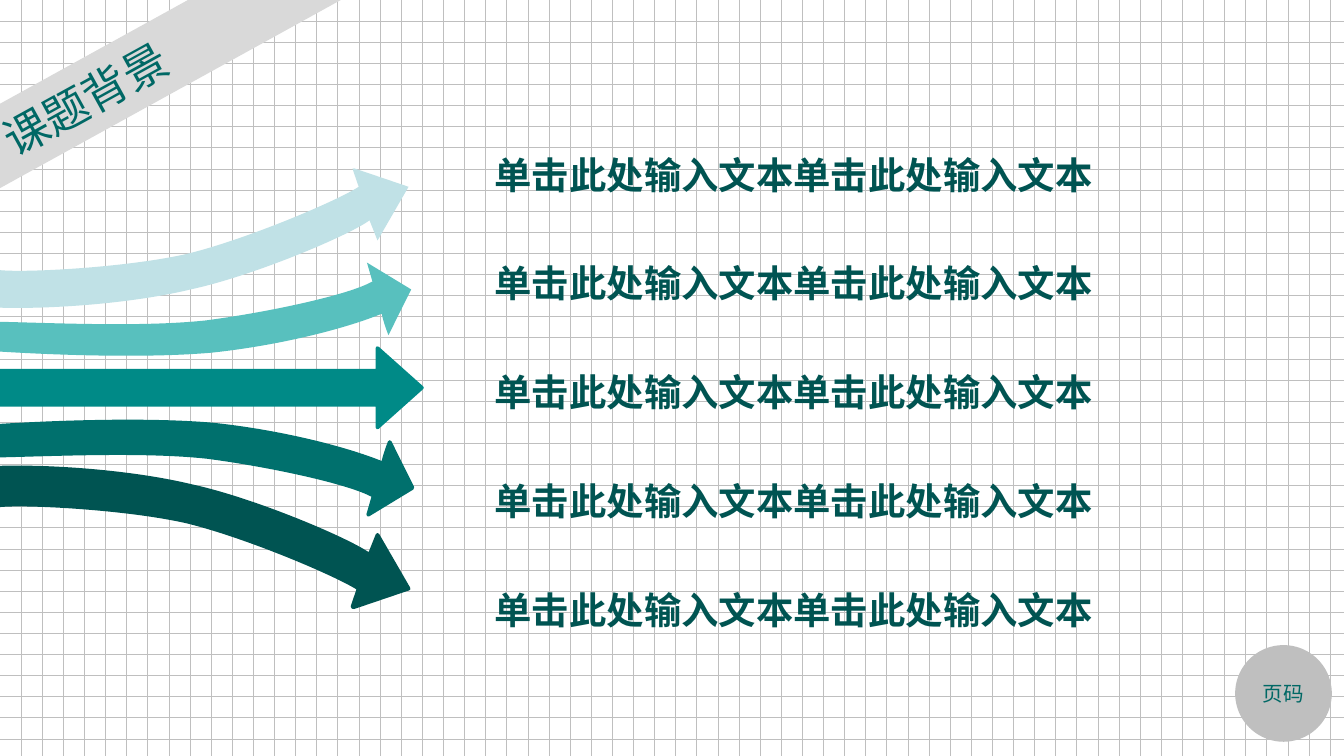
from lxml import etree
from pptx import Presentation
from pptx.dml.color import RGBColor
from pptx.enum import dml, shapes, text
from pptx.oxml.ns import qn
from pptx.util import Pt

FONT = "Noto Sans CJK SC"
HEX = {
    "white": "FFFFFF", "grid": "BFBFBF", "band": "D9D9D9", "label": "006865",
    "ice": "C0E1E6", "aqua": "58C0BE", "teal": "008A87",
    "pine": "00706D", "deep": "005452",
}
TITLE = "课题背景"
PAGE = "页码"
ROWS = ["单击此处输入文本单击此处输入文本"] * 5
ROW_X, ROW_Y, ROW_W, ROW_H, ROW_STEP = 257.8, 77.8, 351.4, 31.7, 58.3

# Outlines in points: a pair is a corner, three pairs are a Bezier curve.
INNER = [
    [(0, 244.1)],
    [(30.2, 243.4), (77, 241.2), (110.9, 244.8)],
    [(144, 249.1), (187.9, 258.5), (200.2, 265.7)],
    [(197.3, 275.8)], [(221, 261.4)], [(208.8, 236.9)],
    [(207.4, 240.5), (205.9, 244.8), (205.2, 248.4)],
    [(184.3, 239.8), (148.3, 231.1), (113.8, 227.5)],
    [(79.9, 224.6), (33.1, 226.1), (-0.7, 228.2)],
]
OUTER = [
    [(0, 270.7)],
    [(15.1, 269.3), (68.4, 272.2), (100.1, 279.4)],
    [(132.5, 287.3), (181.4, 308.2), (192.2, 315.4)],
    [(186.5, 331.9), (190.1, 321.8), (189.4, 325.4)],
    [(218.9, 315.4)], [(202.3, 286.6)], [(198, 297.4)],
    [(187.2, 289.4), (136.1, 267.8), (103, 260.6)],
    [(70.6, 252.7), (26.6, 249.8), (0, 250.6)],
]
# outline, colour, has line, sum of y and mirrored y (None: not mirrored), shift in x
ARROWS = [
    (INNER, "pine", True, None, 0),
    (OUTER, "deep", True, None, 0),
    (INNER, "aqua", False, 416.5, -0.7),
    (OUTER, "ice", False, 415.5, 0),
]


def color(name):
    return RGBColor.from_string(HEX[name])


def paint(shape, name, line=False):
    shape.shadow.inherit = False
    shape.fill.solid()
    shape.fill.fore_color.rgb = color(name)
    if line:
        shape.line.color.rgb = color(name)
        shape.line.width = Pt(2)
    else:
        shape.line.fill.background()


def write(shape, words, size, name, bold=False, align=text.PP_ALIGN.LEFT,
          anchor=text.MSO_ANCHOR.MIDDLE, fit=text.MSO_AUTO_SIZE.NONE):
    frame = shape.text_frame
    frame.text = words
    frame.word_wrap = True
    frame.auto_size = fit
    frame.vertical_anchor = anchor
    para = frame.paragraphs[0]
    para.alignment = align
    font = para.font
    font.size, font.bold, font.name = Pt(size), bold, FONT
    font.color.rgb = color(name)
    props = para._p.pPr.find(qn("a:defRPr"))
    etree.SubElement(props, qn("a:ea"), typeface=FONT)


def bend(shape, outline):
    """Join the three segments of each curve into one Bezier segment."""
    segs = iter(list(shape._element.iter(qn("a:lnTo"))))
    for part in outline[1:]:
        first, *rest = [next(segs) for _ in part]
        if rest:
            curve = etree.Element(qn("a:cubicBezTo"))
            first.addprevious(curve)
            for seg in (first, *rest):
                curve.append(seg[0])
                seg.getparent().remove(seg)


def draw(slide, outline, name, line, flip, shift):
    pts = [(Pt(x + shift), Pt(y if flip is None else flip - y))
           for part in outline for x, y in part]
    pen = slide.shapes.build_freeform(*pts[0])
    pen.add_line_segments(pts[1:], close=True)
    arrow = pen.convert_to_shape()
    bend(arrow, outline)
    paint(arrow, name, line)


def main():
    deck = Presentation()
    deck.slide_width, deck.slide_height = Pt(720), Pt(405)
    slide = deck.slides.add_slide(deck.slide_layouts[5])

    back = slide.background.fill
    back.patterned()
    back.pattern = dml.MSO_PATTERN.DOTTED_GRID
    back.fore_color.rgb, back.back_color.rgb = color("grid"), color("white")

    title = slide.shapes.title
    title.left, title.top = Pt(-68.4), Pt(13.7)
    title.width, title.height = Pt(298.8), Pt(39.6)
    title.rotation = 331.1
    paint(title, "band")
    write(title, TITLE, 24, "label")
    title.text_frame.margin_left = Pt(61)

    badge = slide.shapes.add_shape(
        shapes.MSO_SHAPE.OVAL, Pt(661.7), Pt(345.6), Pt(51.8), Pt(51.8))
    paint(badge, "grid")
    write(badge, PAGE, 11, "label", align=text.PP_ALIGN.CENTER)
    badge.text_frame.margin_left = badge.text_frame.margin_right = 0

    for i, words in enumerate(ROWS):
        box = slide.shapes.add_textbox(
            Pt(ROW_X), Pt(ROW_Y + i * ROW_STEP), Pt(ROW_W), Pt(ROW_H))
        write(box, words, 20, "deep", bold=True, anchor=text.MSO_ANCHOR.TOP,
              fit=text.MSO_AUTO_SIZE.SHAPE_TO_FIT_TEXT)

    for arrow in ARROWS:
        draw(slide, *arrow)
    mid = slide.shapes.add_shape(
        shapes.MSO_SHAPE.RIGHT_ARROW, 0, Pt(186.5), Pt(226), Pt(42.5))
    mid.adjustments[0], mid.adjustments[1] = 0.43, 0.56
    paint(mid, "teal", line=True)

    deck.save("out.pptx")


if __name__ == "__main__":
    main()
